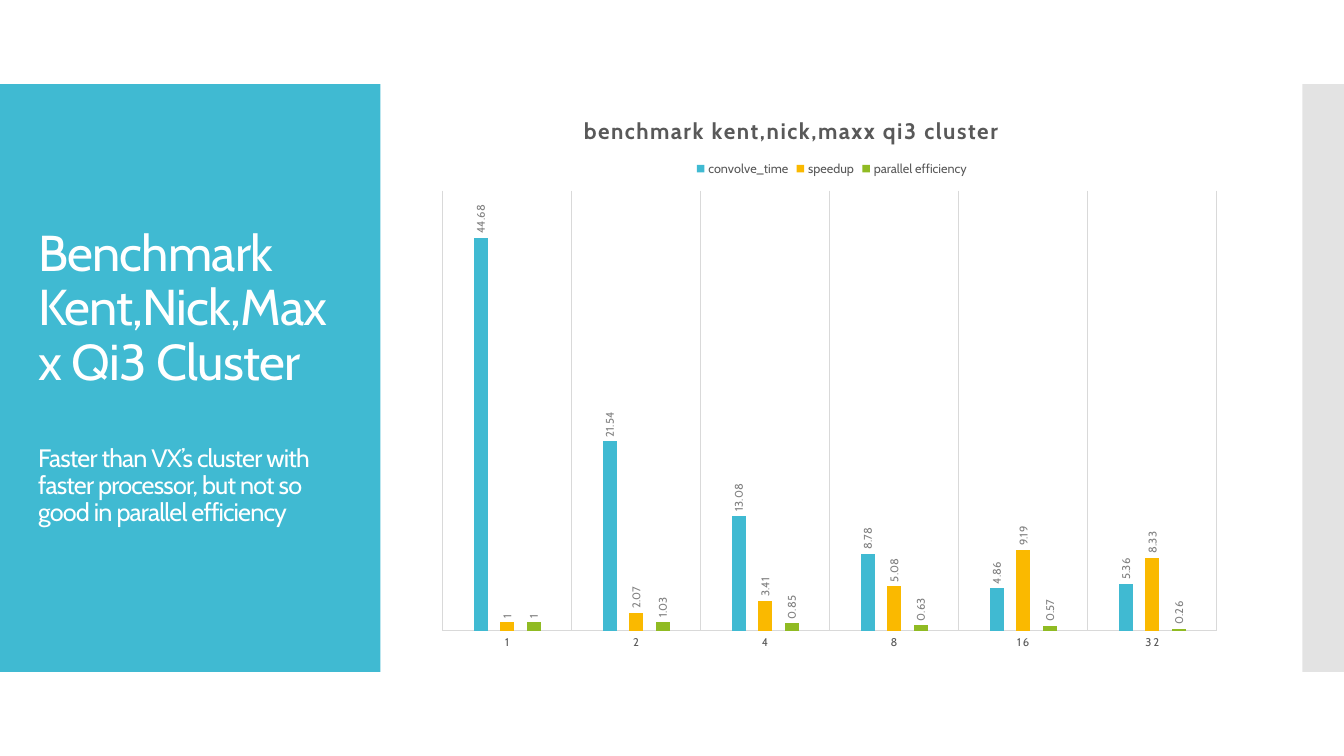
from dataclasses import dataclass

from lxml import etree
from pptx import Presentation
from pptx.chart.chart import Chart
from pptx.chart.data import CategoryChartData
from pptx.dml.color import RGBColor
from pptx.enum.chart import XL_CHART_TYPE, XL_LABEL_POSITION, XL_LEGEND_POSITION, XL_TICK_LABEL_POSITION, XL_TICK_MARK
from pptx.enum.shapes import MSO_SHAPE
from pptx.enum.text import MSO_ANCHOR
from pptx.oxml.ns import qn
from pptx.slide import Slide
from pptx.text.text import Font
from pptx.util import Inches, Pt

CLUSTERED = XL_CHART_TYPE.COLUMN_CLUSTERED
OUTSIDE_END = XL_LABEL_POSITION.OUTSIDE_END
LEGEND_TOP = XL_LEGEND_POSITION.TOP
NEXT_TO_AXIS = XL_TICK_LABEL_POSITION.NEXT_TO_AXIS
NO_TICK = XL_TICK_MARK.NONE
RECTANGLE = MSO_SHAPE.RECTANGLE
MIDDLE = MSO_ANCHOR.MIDDLE

FONT = "Cabin"
COLORS = {
    "teal": "40BAD2", "amber": "FAB900", "green": "90BB23", "white": "FFFFFF",
    "edge": "C8C8C8", "grid": "D9D9D9", "text": "595959", "label": "808080",
}
WIDTH, HEIGHT = Inches(13.33), Inches(7.5)
BAND_TOP, BAND_HEIGHT = 1 / 9, 7 / 9


@dataclass(frozen=True)
class Band:
    left: float
    width: float
    color: str
    opacity: int


@dataclass(frozen=True)
class Passage:
    text: str
    size: float
    space_before: float


@dataclass(frozen=True)
class Measure:
    name: str
    color: str
    values: tuple[float, ...]


BANDS = (Band(0, 0.283, "teal", 100), Band(0.969, 0.031, "edge", 50))
PASSAGES = (
    Passage("Benchmark Kent,Nick,Maxx Qi3 Cluster", 36, 0),
    Passage("Faster than VX’s cluster with faster processor, but not so good in parallel efficiency", 18, 39),
)
PROCESSES = ("1", "2", "4", "8", "16", "32")
MEASURES = (
    Measure("convolve_time", "teal", (44.68, 21.54, 13.08, 8.78, 4.86, 5.36)),
    Measure("speedup", "amber", (1, 2.07, 3.41, 5.08, 9.19, 8.33)),
    Measure("parallel efficiency", "green", (1, 1.03, 0.85, 0.63, 0.57, 0.26)),
)


def rgb(name: str) -> RGBColor:
    return RGBColor.from_string(COLORS[name])


def style_font(font: Font, size: float, color: str, bold: bool = False) -> None:
    font.name, font.size, font.bold = FONT, Pt(size), bold
    font.color.rgb = rgb(color)


def space_letters(element: etree._Element, points: float) -> None:
    for tag in ("a:defRPr", "a:rPr"):
        for properties in element.iter(qn(tag)):
            properties.set("spc", str(round(points * 100)))


def place_part(element: etree._Element, index: int, **shares: float) -> None:
    for previous in element.findall(qn("c:layout")):
        element.remove(previous)
    layout = etree.Element(qn("c:layout"))
    manual = etree.SubElement(layout, qn("c:manualLayout"))
    if "w" in shares:
        etree.SubElement(manual, qn("c:layoutTarget"), val="inner")
    for axis in ("x", "y"):
        etree.SubElement(manual, qn(f"c:{axis}Mode"), val="edge")
    for key, share in shares.items():
        etree.SubElement(manual, qn(f"c:{key}"), val=str(share))
    element.insert(index, layout)


def draw_band(slide: Slide, band: Band) -> None:
    shape = slide.shapes.add_shape(
        RECTANGLE, round(band.left * WIDTH), round(BAND_TOP * HEIGHT),
        round(band.width * WIDTH), round(BAND_HEIGHT * HEIGHT))
    shape.shadow.inherit = False
    shape.line.fill.background()
    shape.fill.solid()
    shape.fill.fore_color.rgb = rgb(band.color)
    if band.opacity < 100:
        color = next(shape._element.spPr.iter(qn("a:srgbClr")))
        etree.SubElement(color, qn("a:alpha"), val=str(band.opacity * 1000))


def draw_passages(slide: Slide) -> None:
    box = slide.shapes.add_textbox(Inches(0.28), Inches(1.23), Inches(3.22), Inches(5.03))
    frame = box.text_frame
    frame.word_wrap, frame.vertical_anchor = True, MIDDLE
    for index, passage in enumerate(PASSAGES):
        paragraph = frame.add_paragraph() if index else frame.paragraphs[0]
        paragraph.add_run().text = passage.text
        paragraph.line_spacing = 0.9
        paragraph.space_before = Pt(passage.space_before)
        style_font(paragraph.font, passage.size, "white")
        space_letters(paragraph._p, -0.6)


def add_benchmark_chart(slide: Slide) -> Chart:
    data = CategoryChartData()
    data.categories = PROCESSES
    for measure in MEASURES:
        data.add_series(measure.name, measure.values)
    frame = slide.shapes.add_chart(CLUSTERED, Inches(4.23), Inches(0.94), Inches(8), Inches(5.6), data)
    return frame.chart


def style_series(chart: Chart) -> None:
    plot = chart.plots[0]
    plot.gap_width, plot.overlap, plot.vary_by_categories = 444, -90, False
    for series, measure in zip(plot.series, MEASURES):
        series.format.fill.solid()
        series.format.fill.fore_color.rgb = rgb(measure.color)
        labels = series.data_labels
        labels.show_value, labels.position = True, OUTSIDE_END
        style_font(labels.font, 8, "label")
        body = next(labels._element.iter(qn("a:bodyPr")))
        body.set("rot", "-5400000")
        body.set("vert", "horz")


def style_axes(chart: Chart) -> None:
    axis = chart.category_axis
    axis.major_tick_mark = axis.minor_tick_mark = NO_TICK
    axis.tick_label_position = NEXT_TO_AXIS
    axis.has_major_gridlines = True
    for line in (axis.format.line, axis.major_gridlines.format.line):
        line.color.rgb, line.width = rgb("grid"), Pt(0.75)
    style_font(axis.tick_labels.font, 8, "text")
    space_letters(axis._element, 1.2)
    values = chart.value_axis
    values.minimum_scale, values.maximum_scale = 0, 50
    values.major_tick_mark = values.minor_tick_mark = NO_TICK
    values.has_major_gridlines = values.visible = False


def style_headings(chart: Chart) -> None:
    chart.has_title = True
    title = chart.chart_title
    paragraph = title.text_frame.paragraphs[0]
    paragraph.add_run().text = "benchmark kent,nick,maxx qi3 cluster"
    style_font(paragraph.font, 16, "text", bold=True)
    space_letters(paragraph._p, 1.2)
    chart.has_legend = True
    legend = chart.legend
    legend.position, legend.include_in_layout = LEGEND_TOP, False
    style_font(legend.font, 9, "text")
    place_part(title._element, 1, x=0.19, y=0.03)
    place_part(legend._element, 1, x=0.33, y=0.11)
    place_part(chart._chartSpace.chart.plotArea, 0, x=0.02, y=0.17, w=0.96, h=0.78)


def main() -> None:
    presentation = Presentation()
    presentation.slide_width, presentation.slide_height = WIDTH, HEIGHT
    slide = presentation.slides.add_slide(presentation.slide_layouts[6])
    for band in BANDS:
        draw_band(slide, band)
    draw_passages(slide)
    chart = add_benchmark_chart(slide)
    style_font(chart.font, 10, "text")
    style_series(chart)
    style_axes(chart)
    style_headings(chart)
    presentation.save("out.pptx")


main()
